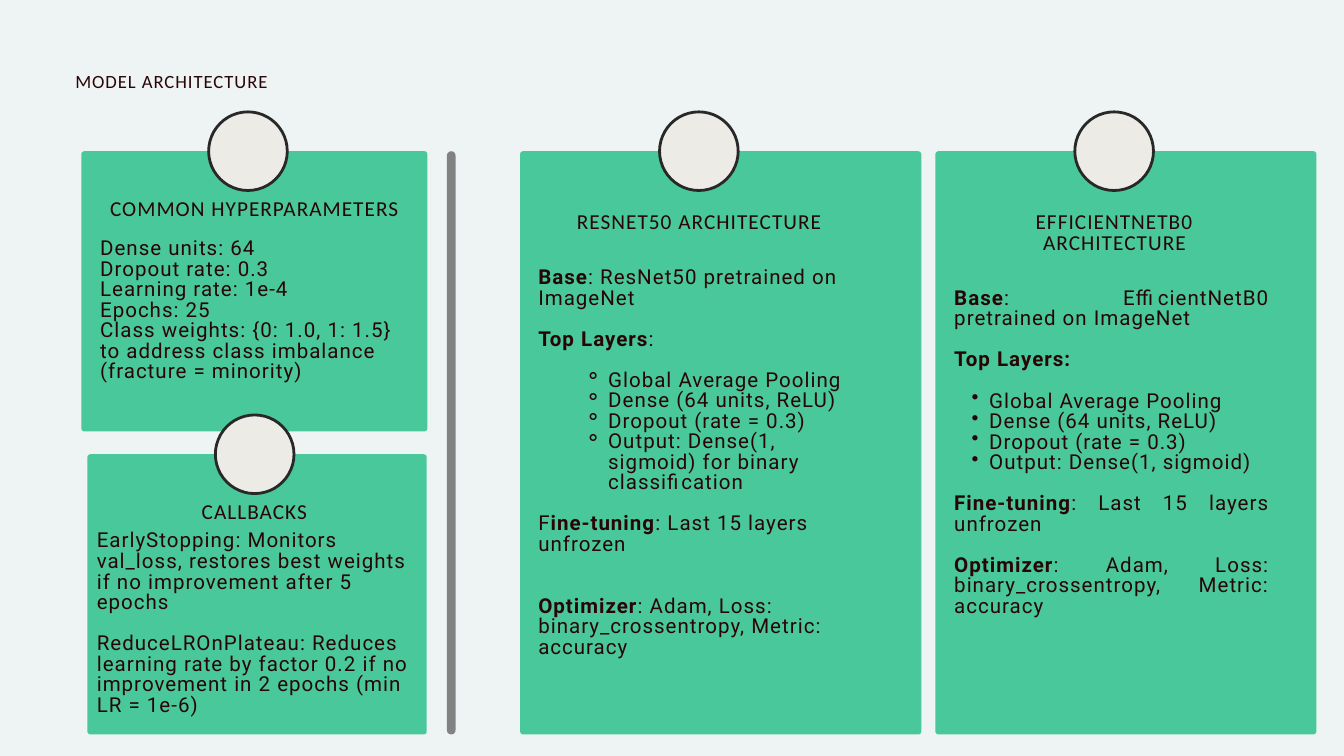
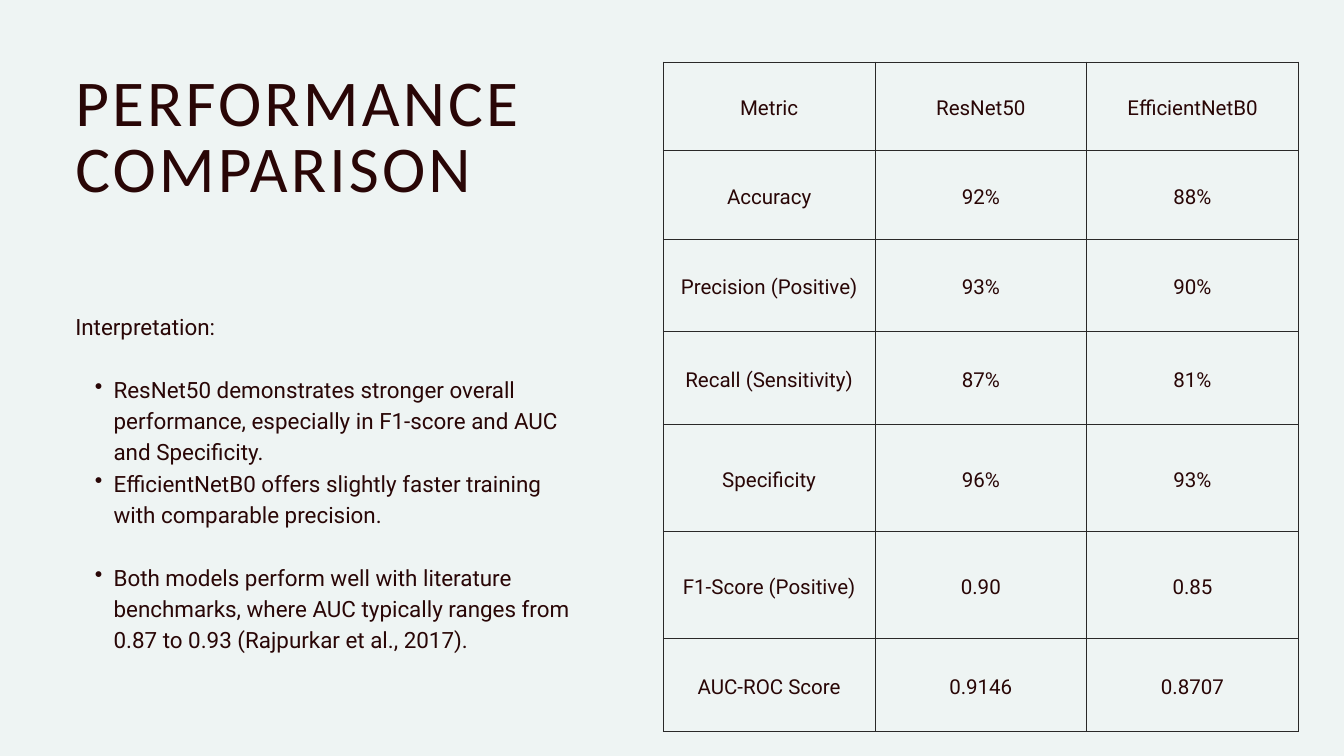
"""Build two slides: model architecture cards and a performance comparison table."""
import lxml.etree
import pptx
import pptx.dml.color
import pptx.enum.shapes
import pptx.enum.text
import pptx.oxml.ns
import pptx.util

Inches = pptx.util.Inches
Pt = pptx.util.Pt
RGBColor = pptx.dml.color.RGBColor
Align = pptx.enum.text.PP_ALIGN
Shape = pptx.enum.shapes.MSO_SHAPE
qn = pptx.oxml.ns.qn

PAPER = RGBColor(0xEE, 0xF4, 0xF3)
INK = RGBColor(0x29, 0x06, 0x06)
GREEN = RGBColor(0x02, 0xB6, 0x76)
GREY = RGBColor(0x54, 0x54, 0x54)
CREAM = RGBColor(0xED, 0xEB, 0xE6)
EDGE = RGBColor(0x29, 0x28, 0x28)
HEAD_FONT, BODY_FONT = "Calibri", "Roboto"

WIDTH, HEIGHT = 20, 11.25
MARGIN = 1.12
CARD_TOP, CARD_BOTTOM = 2.25, 10.93
CARD_HEIGHT = CARD_BOTTOM - CARD_TOP
SHORT_CARD = 4.17
CORNER = 0.045
BADGE = 1.17
DIVIDER = (6.65, CARD_TOP, 0.13, CARD_HEIGHT)

BULLETS = {
    "⚬": {"level": 2, "left": 1.04, "hang": 0.35},
    "•": {"level": 1, "left": 0.52, "hang": 0.26},
}
WIDE_BULLETS = {"•": {"level": 1, "left": 0.57, "hang": 0.28}}

# Each paragraph is (blank lines before, bullet, text with *bold* marks).
CARDS = [
    {
        "card": (1.21, CARD_TOP, 5.15, SHORT_CARD), "badge": 3.69,
        "title": "COMMON HYPERPARAMETERS", "title_at": (1.21, 2.97, 5.15),
        "body_at": (1.49, 3.56, 4.68, 2.46), "align": Align.LEFT,
        "body": [
            (0, "", "Dense units: 64"),
            (0, "", "Dropout rate: 0.3"),
            (0, "", "Learning rate: 1e-4"),
            (0, "", "Epochs: 25"),
            (0, "", "Class weights: {0: 1.0, 1: 1.5}"),
            (0, "", "to address class imbalance (fracture = minority)"),
        ],
    },
    {
        "card": (7.74, CARD_TOP, 5.97, CARD_HEIGHT), "badge": 10.4,
        "title": "RESNET50 ARCHITECTURE", "title_at": (8.2, 3.16, 4.41),
        "body_at": (8.01, 3.99, 4.59, 6.38), "align": Align.LEFT,
        "body": [
            (0, "", "*Base*: ResNet50 pretrained on ImageNet"),
            (1, "", "*Top Layers*:"),
            (1, "⚬", "Global Average Pooling"),
            (0, "⚬", "Dense (64 units, ReLU)"),
            (0, "⚬", "Dropout (rate = 0.3)"),
            (0, "⚬", "Output: Dense(1, sigmoid) for binary classification"),
            (1, "", "F*ine-tuning*: Last 15 layers unfrozen"),
            (2, "", "*Optimizer*: Adam, Loss: binary_crossentropy, Metric: accuracy"),
        ],
    },
    {
        "card": (1.3, CARD_BOTTOM - SHORT_CARD, 5.05, SHORT_CARD), "badge": 3.79,
        "title": "CALLBACKS", "title_at": (1.58, 7.48, 4.41),
        "body_at": (1.44, 7.91, 4.68, 3.06), "align": Align.LEFT,
        "body": [
            (0, "", "EarlyStopping: Monitors val_loss, restores best weights "
                    "if no improvement after 5 epochs"),
            (1, "", "ReduceLROnPlateau: Reduces learning rate by factor 0.2 "
                    "if no improvement in 2 epochs (min LR = 1e-6)"),
        ],
    },
    {
        "card": (13.92, CARD_TOP, 5.67, CARD_HEIGHT), "badge": 16.58,
        "title": "EFFICIENTNETB0 ARCHITECTURE", "title_at": (14.38, 3.16, 4.41),
        "body_at": (14.2, 4.3, 4.69, 5.17), "align": Align.JUSTIFY,
        "body": [
            (0, "", "*Base*: EfficientNetB0 pretrained on ImageNet"),
            (1, "", "*Top Layers:*"),
            (1, "•", "Global Average Pooling"),
            (0, "•", "Dense (64 units, ReLU)"),
            (0, "•", "Dropout (rate = 0.3)"),
            (0, "•", "Output: Dense(1, sigmoid)"),
            (1, "", "*Fine-tuning*: Last 15 layers unfrozen"),
            (1, "", "*Optimizer*: Adam, Loss: binary_crossentropy, Metric: accuracy"),
        ],
    },
]

INTERPRETATION = [
    (0, "", "Interpretation:"),
    (1, "•", "ResNet50 demonstrates stronger overall performance, "
             "especially in F1-score and AUC and Specificity."),
    (0, "•", "EfficientNetB0 offers slightly faster training with comparable precision."),
    (1, "•", "Both models perform well with literature benchmarks, where AUC "
             "typically ranges from 0.87 to 0.93 (Rajpurkar et al., 2017)."),
]

METRICS = [
    ("Metric", "ResNet50", "EfficientNetB0"),
    ("Accuracy", "92%", "88%"),
    ("Precision (Positive)", "93%", "90%"),
    ("Recall (Sensitivity)", "87%", "81%"),
    ("Specificity", "96%", "93%"),
    ("F1-Score (Positive)", "0.90", "0.85"),
    ("AUC-ROC Score", "0.9146", "0.8707"),
]
ROW_HEIGHTS = (1.32, 1.32, 1.37, 1.39, 1.59, 1.59, 1.39)
TABLE_AT = (9.87, 0.92)
COLUMN_WIDTH = 3.15
CELL_INSET = 0.21


def inches(lengths):
    return [Inches(length) for length in lengths]


def add_page(deck):
    page = deck.slides.add_slide(deck.slide_layouts[6])
    page.background.fill.solid()
    page.background.fill.fore_color.rgb = PAPER
    return page


def add_solid(page, kind, place, color, opacity=100):
    shape = page.shapes.add_shape(kind, *inches(place))
    shape.shadow.inherit = False
    shape.fill.solid()
    shape.fill.fore_color.rgb = color
    shape.line.fill.background()
    if opacity < 100:
        tint = shape._element.spPr.find(".//" + qn("a:srgbClr"))
        lxml.etree.SubElement(tint, qn("a:alpha"), val=str(opacity * 1000))
    return shape


def add_panel(page, place, color, radius):
    panel = add_solid(page, Shape.ROUNDED_RECTANGLE, place, color, 70)
    panel.adjustments[0] = radius / min(place[2:])


def add_badge(page, center, middle):
    place = (center - BADGE / 2, middle - BADGE / 2, BADGE, BADGE)
    badge = add_solid(page, Shape.OVAL, place, CREAM)
    badge.line.color.rgb = EDGE
    badge.line.width = Pt(3)


def add_bullet(para, mark, style):
    para.level = style["level"]
    properties = para._p.get_or_add_pPr()
    properties.set("marL", str(Inches(style["left"])))
    properties.set("indent", str(-Inches(style["hang"])))
    lxml.etree.SubElement(properties, qn("a:buChar"), char=mark)


def fill_text(frame, paragraphs, font, size, line, spacing=0, align=Align.LEFT, bullets=BULLETS):
    for index, (gap, mark, text) in enumerate(paragraphs):
        para = frame.add_paragraph() if index else frame.paragraphs[0]
        if mark:
            add_bullet(para, mark, bullets[mark])
        para.alignment = align
        para.line_spacing = Pt(line)
        if gap:
            para.space_before = Pt(gap * line)
        for part, words in enumerate(text.split("*")):
            if not words:
                continue
            span = para.add_run()
            span.text = words
            span.font.name = font
            span.font.size = Pt(size)
            span.font.bold = part % 2 == 1
            span.font.color.rgb = INK
            if spacing:
                span._r.get_or_add_rPr().set("spc", str(round(spacing * 100)))


def add_text(page, place, paragraphs, *style, **options):
    frame = page.shapes.add_textbox(*inches(place)).text_frame
    frame.word_wrap = True
    frame.margin_left = frame.margin_right = frame.margin_top = frame.margin_bottom = 0
    fill_text(frame, paragraphs, *style, **options)


def add_title(page, place, text, size, spacing, align=Align.LEFT):
    add_text(page, place, [(0, "", text)], HEAD_FONT, size, size, spacing, align)


def add_card(page, card):
    left, top, width, height = card["card"]
    add_panel(page, (left, top, width, height), GREEN, CORNER)
    add_badge(page, card["badge"], top)
    add_title(page, (*card["title_at"], 0.37), card["title"], 22.8, 1.1, Align.CENTER)
    add_text(page, card["body_at"], card["body"], BODY_FONT, 22, 22, 1.1, card["align"])


def add_borders(cell):
    properties = cell._tc.get_or_add_tcPr()
    for side in ("a:lnL", "a:lnR", "a:lnT", "a:lnB"):
        line = lxml.etree.SubElement(properties, qn(side), w=str(Pt(0.75)))
        solid = lxml.etree.SubElement(line, qn("a:solidFill"))
        lxml.etree.SubElement(solid, qn("a:srgbClr"), val=str(EDGE))


def add_metrics(page):
    columns = len(METRICS[0])
    size = (columns * COLUMN_WIDTH, sum(ROW_HEIGHTS))
    table = page.shapes.add_table(len(METRICS), columns, *inches(TABLE_AT + size)).table
    table.first_row = table.horz_banding = False
    for column in table.columns:
        column.width = Inches(COLUMN_WIDTH)
    for row, height, values in zip(table.rows, ROW_HEIGHTS, METRICS):
        row.height = Inches(height)
        for cell, value in zip(row.cells, values):
            add_borders(cell)
            cell.fill.background()
            cell.vertical_anchor = pptx.enum.text.MSO_ANCHOR.MIDDLE
            cell.margin_left = cell.margin_right = Inches(CELL_INSET)
            cell.margin_top = cell.margin_bottom = Inches(CELL_INSET)
            fill_text(cell.text_frame, [(0, "", value)], BODY_FONT, 22, 30.8, align=Align.CENTER)


def build_architecture(deck):
    page = add_page(deck)
    add_title(page, (MARGIN, 1.1, 2.89, 0.35), "MODEL ARCHITECTURE", 20, 1)
    for card in CARDS:
        add_card(page, card)
    add_panel(page, DIVIDER, GREY, DIVIDER[2] / 2)


def build_comparison(deck):
    page = add_page(deck)
    add_metrics(page)
    add_text(page, (MARGIN, 4.59, 7.45, 5.52), INTERPRETATION, BODY_FONT, 24, 33.6,
             bullets=WIDE_BULLETS)
    add_title(page, (MARGIN, 1.11, 8.88, 2.14), "PERFORMANCE COMPARISON", 70, 3.4)


def main():
    deck = pptx.Presentation()
    deck.slide_width, deck.slide_height = inches((WIDTH, HEIGHT))
    build_architecture(deck)
    build_comparison(deck)
    deck.save("out.pptx")


if __name__ == "__main__":
    main()
